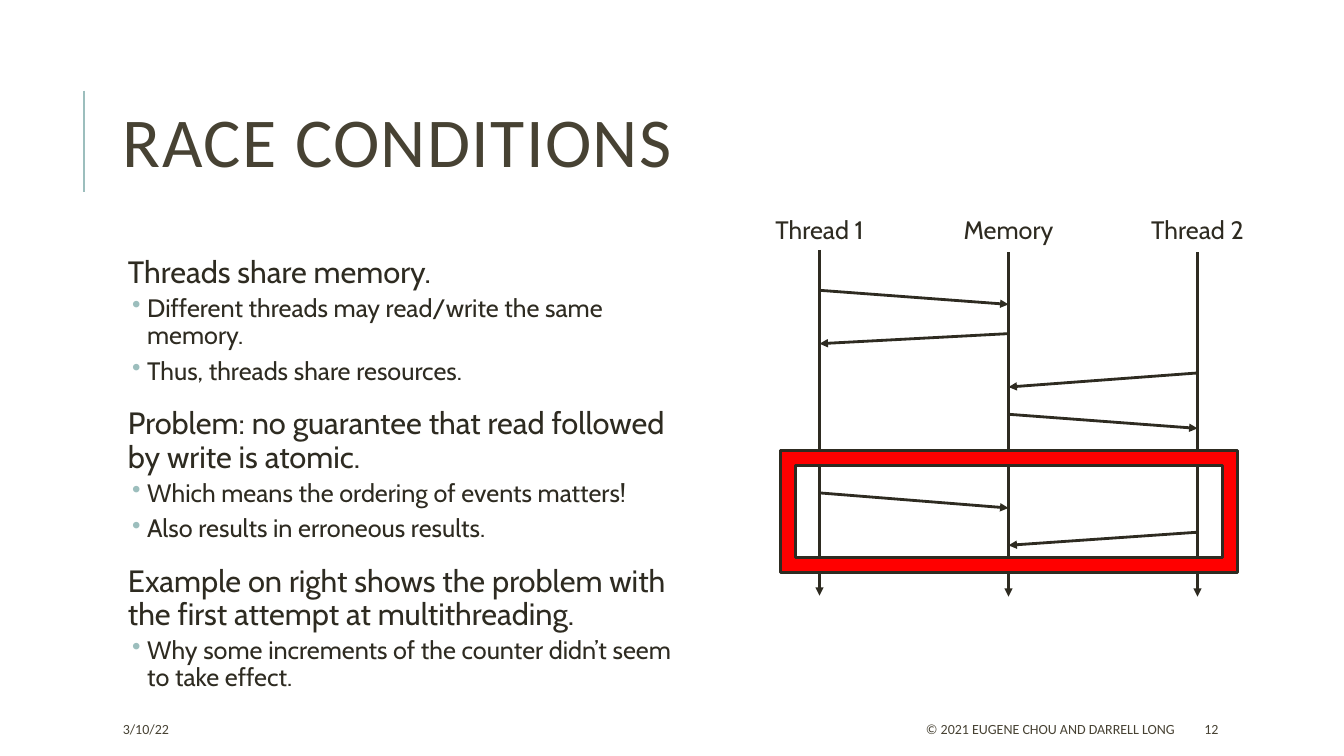
from dataclasses import dataclass

from lxml import etree
from pptx import Presentation
from pptx import util as u
from pptx.dml.color import RGBColor
from pptx.enum import shapes, text
from pptx.oxml.ns import qn

COLORS = {"title": "474233", "ink": "2E2B21", "accent": "9CBEBD", "alert": "FF0000"}
CELLS_PER_INCH = 10  # the grid has square cells of a tenth of an inch
LEFT_MARGIN = 11.2
FOOTER_ROW = 70.8
FIRST_LANE, LANE_GAP = 81.3, 18.75
LABEL_WIDTH = 14.4

LEFT, CENTER, RIGHT = text.PP_ALIGN.LEFT, text.PP_ALIGN.CENTER, text.PP_ALIGN.RIGHT
TOP, MIDDLE = text.MSO_ANCHOR.TOP, text.MSO_ANCHOR.MIDDLE


@dataclass
class Point:
    content: str
    level: int = 0


@dataclass
class Lane:
    name: str
    top: float
    bottom: float


@dataclass
class Message:
    source: int
    target: int
    row: float
    drop: float


@dataclass
class Footer:
    content: str
    column: float
    width: float
    align: text.PP_ALIGN = LEFT


POINTS = [
    Point("Threads share memory."),
    Point("Different threads may read/write the same memory.", 1),
    Point("Thus, threads share resources.", 1),
    Point("Problem: no guarantee that read followed by write is atomic."),
    Point("Which means the ordering of events matters!", 1),
    Point("Also results in erroneous results.", 1),
    Point("Example on right shows the problem with the first attempt at multithreading."),
    Point("Why some increments of the counter didn’t seem to take effect.", 1),
]
POINT_FORMATS = [
    {"line_spacing": 0.9, "space_before": u.Pt(12), "space_after": u.Pt(2)},
    {"line_spacing": 0.9, "space_before": u.Pt(2), "space_after": u.Pt(4)},
]
POINT_SIZES = [22, 18]
POINT_INDENTS = [(1, 0), (2.9, -1.5)]  # left margin and first-line indent

LANES = [Lane("Thread 1", 24.8, 59.1), Lane("Memory", 25, 59.2), Lane("Thread 2", 25, 59.2)]
MESSAGES = [
    Message(0, 1, 28.8, 1.4),
    Message(1, 0, 33.1, 1),
    Message(2, 1, 37, 1.4),
    Message(1, 2, 41.1, 1.4),
    Message(0, 1, 48.9, 1.5),
    Message(2, 1, 52.8, 1.3),
]
FOOTERS = [
    Footer("3/10/22", LEFT_MARGIN, 23.6),
    Footer("© 2021 EUGENE CHOU AND DARRELL LONG", 53, 64.5, RIGHT),
    Footer("12", 118.5, 10.6),
]


def grid(cells: float) -> int:
    return u.Inches(cells / CELLS_PER_INCH)


def lane_column(index: int) -> float:
    return FIRST_LANE + index * LANE_GAP


def apply_format(target, values: dict) -> None:
    for name, value in values.items():
        setattr(target, name, value)


def style_font(font, name: str, size: float, color: str) -> None:
    apply_format(font, {"name": name, "size": u.Pt(size)})
    font.color.rgb = RGBColor.from_string(COLORS[color])


def add_text(slide, place: tuple, anchor=TOP):
    box = slide.shapes.add_textbox(*map(grid, place))
    apply_format(box.text_frame, {"word_wrap": True, "vertical_anchor": anchor})
    return box.text_frame


def add_label(slide, place: tuple, content: str, font: tuple, align=LEFT, anchor=TOP) -> None:
    paragraph = add_text(slide, place, anchor).paragraphs[0]
    apply_format(paragraph, {"text": content, "alignment": align})
    style_font(paragraph.font, *font)


def add_line(slide, start: tuple, end: tuple, color: str, width: float, arrow: bool = True) -> None:
    line = slide.shapes.add_connector(shapes.MSO_CONNECTOR.STRAIGHT, *map(grid, start + end))
    line.line.color.rgb = RGBColor.from_string(COLORS[color])
    line.line.width = u.Pt(width)
    if arrow:
        etree.SubElement(line.line._get_or_add_ln(), qn("a:tailEnd"), type="triangle")
    etree.SubElement(line._element.spPr, qn("a:effectLst"))


def add_title(slide) -> None:
    title = slide.shapes.title
    apply_format(title, {"left": grid(LEFT_MARGIN), "top": grid(6.4),
                         "width": grid(106.3), "height": grid(16.4)})
    apply_format(title.text_frame, {"text": "RACE CONDITIONS", "word_wrap": True,
                                    "auto_size": text.MSO_AUTO_SIZE.NONE,
                                    "vertical_anchor": MIDDLE})
    paragraph = title.text_frame.paragraphs[0]
    apply_format(paragraph, {"alignment": LEFT, "line_spacing": 0.8})
    style_font(paragraph.runs[0].font, "Calibri", 50, "title")
    paragraph.runs[0].font._element.set("spc", "100")
    add_line(slide, (8.3, 9), (8.3, 19), "accent", 1.5, arrow=False)


def add_points(slide) -> None:
    frame = add_text(slide, (LEFT_MARGIN, 25, 57, 44))
    margins = ("margin_left", "margin_top", "margin_right", "margin_bottom")
    apply_format(frame, dict.fromkeys(margins, grid(0.5)))
    for index, point in enumerate(POINTS):
        paragraph = frame.add_paragraph() if index else frame.paragraphs[0]
        apply_format(paragraph, {"text": point.content, "level": point.level})
        apply_format(paragraph, POINT_FORMATS[point.level])
        if index == 0:
            paragraph.space_before = u.Pt(0)
        properties = paragraph._p.get_or_add_pPr()
        margin, indent = POINT_INDENTS[point.level]
        properties.set("marL", str(grid(margin)))
        properties.set("indent", str(grid(indent)))
        if point.level:
            bullet_color = etree.SubElement(properties, qn("a:buClr"))
            etree.SubElement(bullet_color, qn("a:srgbClr"), val=COLORS["accent"])
            etree.SubElement(properties, qn("a:buChar"), char="•")
        style_font(paragraph.font, "Cabin", POINT_SIZES[point.level], "ink")


def add_sequence_diagram(slide) -> None:
    # Lanes with their names
    for index, lane in enumerate(LANES):
        column = lane_column(index)
        add_label(slide, (column - LABEL_WIDTH / 2, 20.8, LABEL_WIDTH, 4),
                  lane.name, ("Cabin", 18, "ink"), CENTER)
        add_line(slide, (column, lane.top), (column, lane.bottom), "ink", 1.75)
    # Reads and writes
    for message in MESSAGES:
        add_line(slide, (lane_column(message.source), message.row),
                 (lane_column(message.target), message.row + message.drop), "ink", 2)
    # Frame around the conflicting writes
    frame = slide.shapes.add_shape(shapes.MSO_SHAPE.FRAME, *map(grid, (77.4, 44.7, 45.4, 12.1)))
    frame.shadow.inherit = False
    frame.fill.solid()
    frame.fill.fore_color.rgb = RGBColor.from_string(COLORS["alert"])
    frame.line.color.rgb = RGBColor.from_string(COLORS["ink"])
    frame.line.width = u.Pt(2)


def main() -> None:
    presentation = Presentation()
    apply_format(presentation, {"slide_width": grid(133.33), "slide_height": grid(75)})
    slide = presentation.slides.add_slide(presentation.slide_layouts.get_by_name("Title Only"))
    add_title(slide)
    add_points(slide)
    add_sequence_diagram(slide)
    for footer in FOOTERS:
        add_label(slide, (footer.column, FOOTER_ROW, footer.width, 3), footer.content,
                  ("Calibri", 10, "title"), footer.align, MIDDLE)
    presentation.save("out.pptx")


if __name__ == "__main__":
    main()
